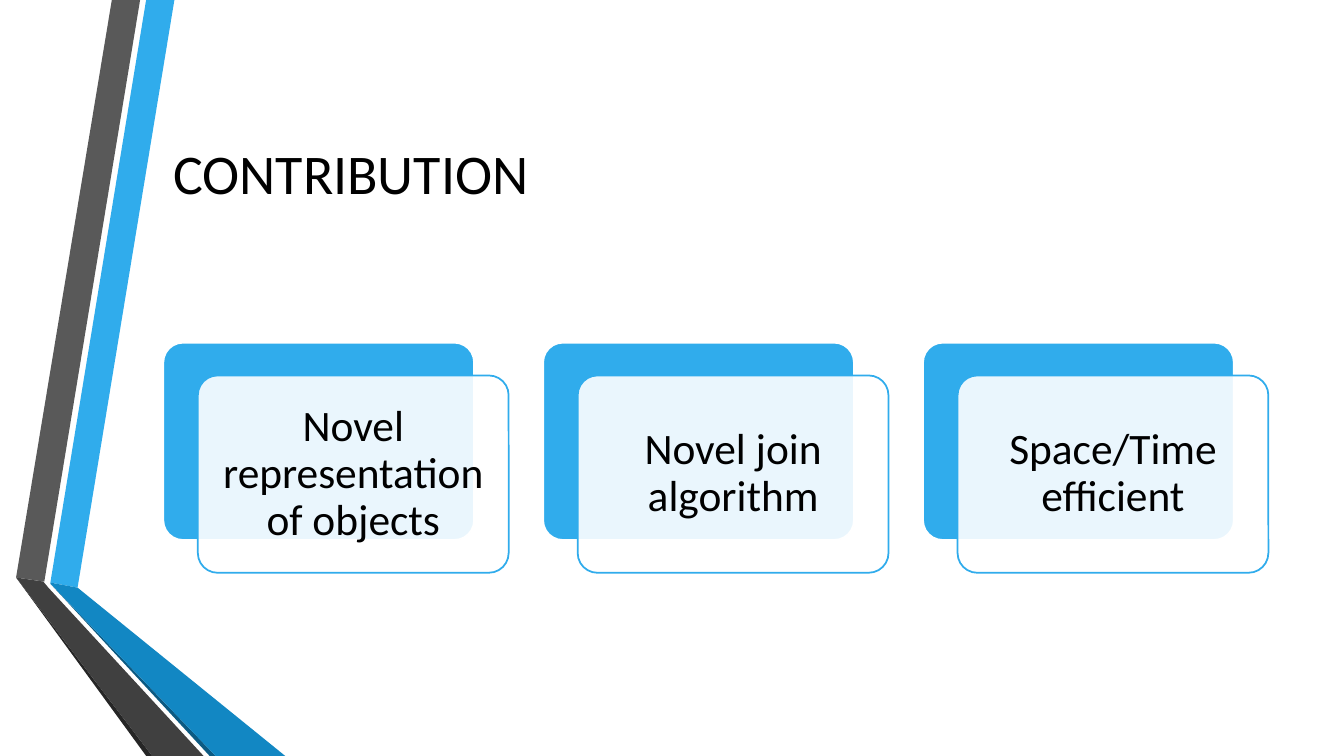
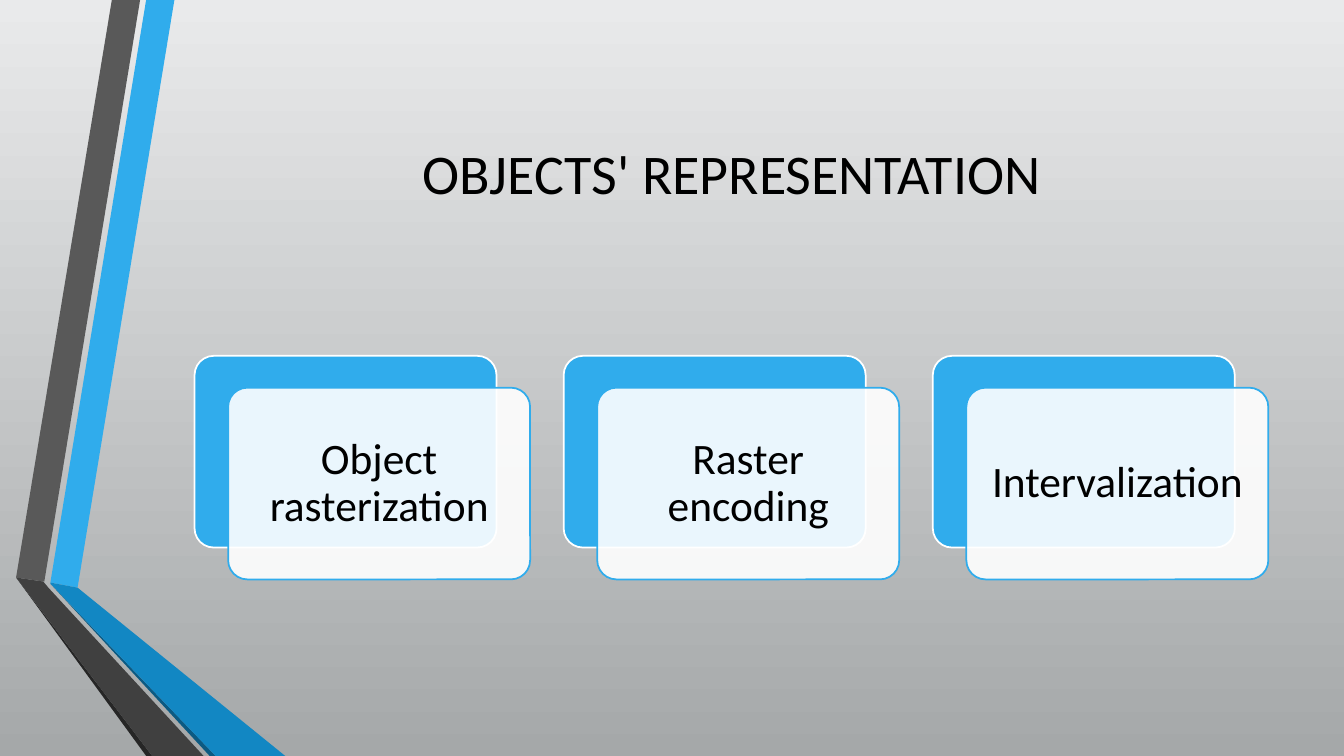
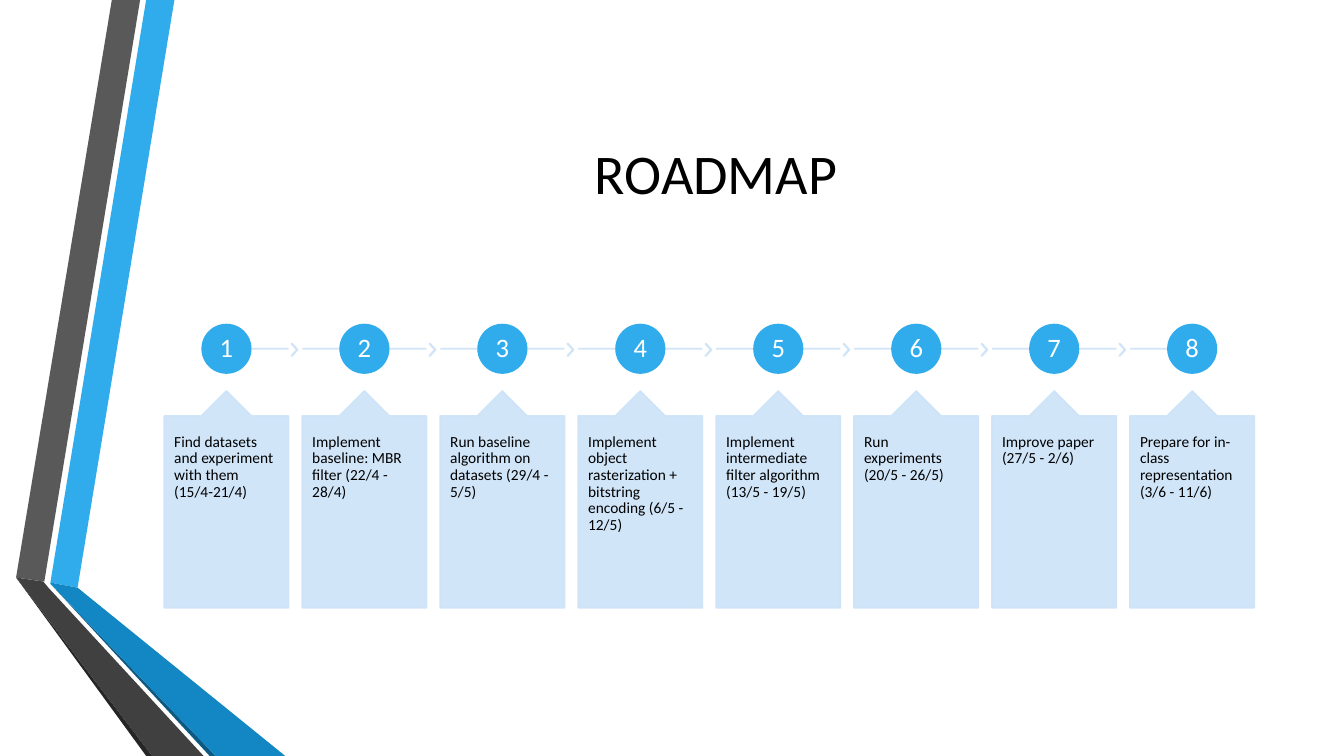
from lxml import etree
from pptx import Presentation
from pptx.dml.color import RGBColor
from pptx.enum.shapes import MSO_CONNECTOR, MSO_SHAPE
from pptx.enum.text import MSO_ANCHOR, PP_ALIGN
from pptx.oxml.ns import qn
from pptx.util import Inches, Pt

ROUND, OVAL = MSO_SHAPE.ROUNDED_RECTANGLE, MSO_SHAPE.OVAL
CHEVRON, CALLOUT = MSO_SHAPE.CHEVRON, MSO_SHAPE.UP_ARROW_CALLOUT
STRAIGHT = MSO_CONNECTOR.STRAIGHT
LEFT, CENTER = PP_ALIGN.LEFT, PP_ALIGN.CENTER
TOP, MIDDLE = MSO_ANCHOR.TOP, MSO_ANCHOR.MIDDLE

WHITE = RGBColor(0xFF, 0xFF, 0xFF)
BLACK = RGBColor(0, 0, 0)
BLUE = RGBColor(0x30, 0xAC, 0xEC)
DEEP = RGBColor(0x12, 0x87, 0xC3)
NAVY = RGBColor(0x0C, 0x5A, 0x82)
PALE = RGBColor(0xCD, 0xE3, 0xF8)
GRAY = RGBColor(0x59, 0x59, 0x59)
DARK = RGBColor(0x40, 0x40, 0x40)
COAL = RGBColor(0x26, 0x26, 0x26)
MIST = RGBColor(0xE9, 0xEA, 0xEB)
STEEL = RGBColor(0xA5, 0xA8, 0xA9)

FONT = "Calibri"
WIDE, HIGH = 13.33, 7.5
EDGE = 12.58  # right margin of the content
ALPHA = 90

RIBBON = [
    (BLUE, [(0.5, 5.78), (0.77, 5.83), (1.73, 0), (1.45, 0)]),
    (GRAY, [(1.39, 0), (1.11, 0), (0.16, 5.73), (0.44, 5.77)]),
    (COAL, [(0.16, 5.73), (1.45, HIGH), (1.51, HIGH)]),
    (NAVY, [(0.5, 5.79), (2.08, HIGH), (2.14, HIGH)]),
    (DEEP, [(0.5, 5.79), (2.14, HIGH), (2.83, HIGH), (0.77, 5.83), (0.5, 5.78)]),
    (DARK, [(2.02, HIGH), (0.48, 5.83), (0.43, 5.77), (0.16, 5.73), (1.51, HIGH)]),
]

GOALS = ["Novel representation of objects", "Novel join algorithm",
         "Space/Time efficient"]
STAGES = ["Object rasterization", "Raster encoding", "Intervalization"]
TASKS = [
    "Find datasets and experiment with them (15/4-21/4)",
    "Implement baseline: MBR filter (22/4 - 28/4)",
    "Run baseline algorithm on datasets (29/4 - 5/5)",
    "Implement object rasterization + bitstring encoding (6/5 - 12/5)",
    "Implement intermediate filter algorithm (13/5 - 19/5)",
    "Run experiments (20/5 - 26/5)",
    "Improve paper (27/5 - 2/6)",
    "Prepare for in-class representation (3/6 - 11/6)",
]


def write(item, text, size, color=BLACK, align=CENTER, anchor=MIDDLE,
          pad=(0.1, 0.05), space=None):
    frame = item.text_frame
    frame.word_wrap = True
    frame.vertical_anchor = anchor
    frame.margin_left = frame.margin_right = Inches(pad[0])
    frame.margin_top = frame.margin_bottom = Inches(pad[1])
    para = frame.paragraphs[0]
    para.alignment = align
    para.line_spacing = space
    run = para.add_run()
    run.text = text
    run.font.name, run.font.size = FONT, Pt(size)
    run.font.color.rgb = color


def paint(item, fill, line=None):
    item.shadow.inherit = False
    item.fill.solid()
    item.fill.fore_color.rgb = fill
    if line is None:
        item.line.fill.background()
    else:
        item.line.color.rgb = line
        item.line.width = Pt(1.25)


def fade(item, *parts):
    """Make the solid fills at the given places of the shape see-through."""
    for part in parts:
        for color in item.element.spPr.xpath(f"./{part}/a:srgbClr"):
            etree.SubElement(color, qn("a:alpha")).set("val", str(ALPHA * 1000))


def place(slide, kind, box, fill, line, adjust=()):
    item = slide.shapes.add_shape(kind, *map(Inches, box))
    for i, value in enumerate(adjust):
        item.adjustments[i] = value
    paint(item, fill, line)
    return item


def ribbon(slide):
    for color, spots in RIBBON:
        first, *rest = [(Inches(x), Inches(y)) for x, y in spots]
        pen = slide.shapes.build_freeform(*first)
        pen.add_line_segments(rest, close=True)
        paint(pen.convert_to_shape(), color)


def start(deck, title, left, align=CENTER, shade=False):
    """Add a slide with its background, ribbon and title."""
    slide = deck.slides.add_slide(deck.slide_layouts[6])
    back = slide.background.fill
    if shade:
        back.gradient()
        back.gradient_angle = 270
        for stop, color in zip(back.gradient_stops, (MIST, STEEL)):
            stop.color.rgb = color
    else:
        back.solid()
        back.fore_color.rgb = WHITE
    ribbon(slide)
    box = (left, HIGH * 0.1, EDGE - left, 1.92)
    write(slide.shapes.add_textbox(*map(Inches, box)), title, 40, align=align)
    return slide


def cards(slide, left, top, width, labels):
    """Row of double cards; shift and gap are a ninth of a card's width."""
    count = len(labels)
    wide = width * 9 / (11 * count - 1)
    step, high = wide / 9, wide * 0.635
    for i, label in enumerate(labels):
        x = left + i * (wide + 2 * step)
        place(slide, ROUND, (x, top, wide, high), BLUE, WHITE, [0.1])
        front = place(slide, ROUND, (x + step, top + step * 0.95, wide, high),
                      WHITE, BLUE, [0.1])
        fade(front, "a:solidFill")
        write(front, label, 31, pad=(0.13, 0.13), space=0.9)


def track(slide, x1, x2, y):
    line = slide.shapes.add_connector(
        STRAIGHT, Inches(x1), Inches(y), Inches(x2), Inches(y))
    line.line.color.rgb = PALE
    line.line.width = Pt(1.25)
    etree.SubElement(line.element.spPr, qn("a:effectLst"))
    fade(line, "a:ln/a:solidFill")


def roadmap(slide, left, top, width, tasks):
    """Numbered circles on a track, each above the callout of its task."""
    last = len(tasks) - 1
    pitch = width / (last + 0.9)
    wide, dot = pitch * 0.9, 0.48
    mid = top + dot / 2
    for i, task in enumerate(tasks):
        x = left + i * pitch
        half = x + wide / 2
        track(slide, x if i else half, x + wide if i < last else half, mid)
        soft = []
        if i < last:
            soft.append(place(slide, CHEVRON, (x + wide + 0.03, mid - 0.05, 0.06, 0.12),
                              PALE, PALE, [0.9]))
        badge = place(slide, OVAL, (half - dot / 2, top, dot, dot), BLUE, BLUE)
        write(badge, str(i + 1), 19, color=WHITE, pad=(0.02, 0.02), space=0.9)
        note = place(slide, CALLOUT, (x, top + 0.66, wide, 2.15),
                     PALE, PALE, [0.5, 0.2, 0.2, 1])
        write(note, task, 11, align=LEFT, anchor=TOP, pad=(0.1, 0.18), space=0.9)
        for item in soft + [note]:
            fade(item, "a:solidFill", "a:ln/a:solidFill")


def main():
    deck = Presentation()
    deck.slide_width, deck.slide_height = Inches(WIDE), Inches(HIGH)

    slide = start(deck, "CONTRIBUTION", 1.62, align=LEFT)
    cards(slide, 1.62, 3.4, EDGE - 1.62, GOALS)

    slide = start(deck, "OBJECTS' REPRESENTATION", 1.93, shade=True)
    cards(slide, 1.93, 3.53, EDGE - 1.93, STAGES)

    slide = start(deck, "ROADMAP", 1.62)
    roadmap(slide, 1.63, 3.22, 10.81, TASKS)

    deck.save("out.pptx")


if __name__ == "__main__":
    main()
